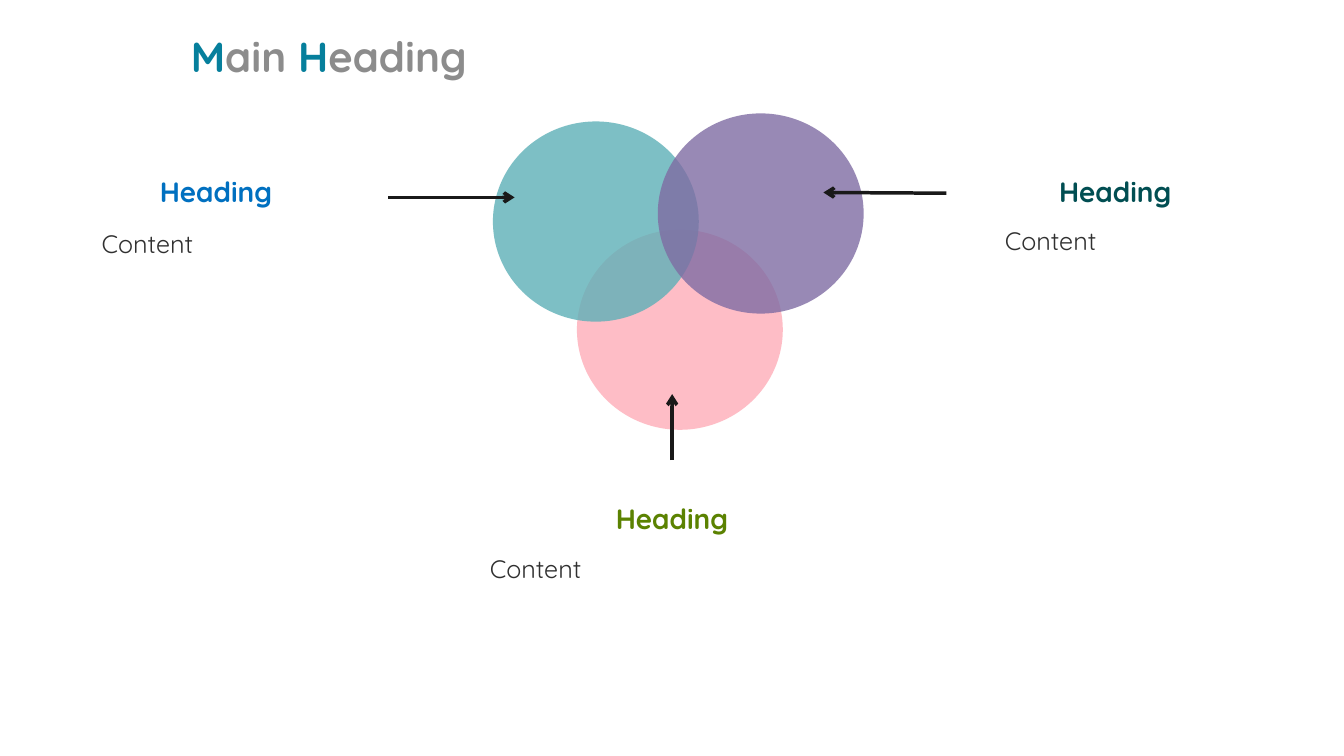
import pptx
import pptx.dml.color
import pptx.enum.shapes
import pptx.enum.text
import pptx.oxml
import pptx.oxml.ns
import pptx.util
from lxml import etree

Pt = pptx.util.Pt
FONT = "Quicksand"
COLORS = {
    "title_accent": "067F9C", "title": "8C8C8C", "content": "303030", "arrow": "191919",
    "blue": "0070C0", "teal": "014E52", "green": "5B8201",
    "pink_circle": "FEADB8", "teal_circle": "5DB0B7", "purple_circle": "7F6CA3",
}


def rgb(name):
    """Return the named colour."""
    return pptx.dml.color.RGBColor.from_string(COLORS[name])


def add_text(slide, box, runs, size, bold=False, centered=False, wrap=True):
    """Add a one-paragraph text box of (text, colour) runs and return it."""
    shape = slide.shapes.add_textbox(*map(Pt, box))
    frame = shape.text_frame
    frame.word_wrap = wrap
    frame.auto_size = pptx.enum.text.MSO_AUTO_SIZE.SHAPE_TO_FIT_TEXT
    paragraph = frame.paragraphs[0]
    alignment = pptx.enum.text.PP_ALIGN
    paragraph.alignment = alignment.CENTER if centered else alignment.LEFT
    for text, color in runs:
        run = paragraph.add_run()
        run.text = text
        run.font.name = FONT
        run.font.size = Pt(size)
        run.font.bold = bold
        run.font.color.rgb = rgb(color)
    return shape


def add_title(slide, box):
    """Add the main heading with its accented initials."""
    runs = [("M", "title_accent"), ("ain ", "title"), ("H", "title_accent"), ("eading", "title")]
    frame = add_text(slide, box, runs, 60, bold=True, centered=True).text_frame
    frame.margin_left = frame.margin_top = frame.margin_right = frame.margin_bottom = 0
    frame.vertical_anchor = pptx.enum.text.MSO_ANCHOR.MIDDLE


def add_callout(slide, box, color, heading_left, heading_width, content_left, content_top):
    """Add a coloured heading and its content inside the box."""
    left, top, width, height = box
    heading_box = (left + heading_left, top, heading_width, 51)
    heading = add_text(slide, heading_box, [("Heading", color)], 40,
                       bold=True, centered=True, wrap=heading_width > 200)
    heading.text_frame.paragraphs[0].line_spacing = 0.9
    content_box = (left + content_left, top + content_top, width - content_left, height - content_top)
    add_text(slide, content_box, [("Content", "content")], 36)


def add_venn(slide, box):
    """Add three translucent overlapping circles inside the box."""
    left, top, width, height = box
    diameter_x, diameter_y = 294, 286
    circles = [
        ("pink_circle", 120, height - diameter_y),
        ("teal_circle", 0, 11.5),
        ("purple_circle", width - diameter_x, 0),
    ]
    for color, x, y in circles:
        circle = slide.shapes.add_shape(
            pptx.enum.shapes.MSO_SHAPE.OVAL,
            Pt(left + x), Pt(top + y), Pt(diameter_x), Pt(diameter_y))
        circle.shadow.inherit = False
        circle.line.fill.background()
        circle.fill.solid()
        circle.fill.fore_color.rgb = rgb(color)
        fill_color = circle.fill._xPr.find(".//" + pptx.oxml.ns.qn("a:srgbClr"))
        etree.SubElement(fill_color, pptx.oxml.ns.qn("a:alpha"), val="80000")


def add_arrow(slide, start, end):
    """Add a straight arrow pointing at its end."""
    arrow = slide.shapes.add_connector(
        pptx.enum.shapes.MSO_CONNECTOR.STRAIGHT, *map(Pt, start + end))
    arrow.line.color.rgb = rgb("arrow")
    arrow.line.width = Pt(5)
    etree.SubElement(arrow.line._get_or_add_ln(), pptx.oxml.ns.qn("a:tailEnd"), type="arrow")
    etree.SubElement(arrow._element.spPr, pptx.oxml.ns.qn("a:effectLst"))


def main():
    """Build the slide and save it."""
    presentation = pptx.Presentation()
    presentation.slide_width = Pt(1919.5)
    presentation.slide_height = Pt(1080)
    slide = presentation.slides.add_slide(presentation.slide_layouts[6])
    add_callout(slide, (1428, 251.5, 353.5, 119), "teal", 74, 181.5, 0, 67.5)
    add_callout(slide, (120, 251.5, 377, 121.5), "blue", 0, 377, 18, 70.5)
    add_callout(slide, (692.5, 718.5, 814.5, 119.5), "green", 176.5, 181.5, 0, 68.5)
    add_venn(slide, (704, 162, 529.5, 452))
    add_arrow(slide, (1351.5, 276), (1176, 275))
    add_arrow(slide, (554.5, 282), (735, 282))
    add_arrow(slide, (960, 657.5), (960, 563))
    add_title(slide, (216, 43, 507, 73))
    presentation.save("out.pptx")


if __name__ == "__main__":
    main()
